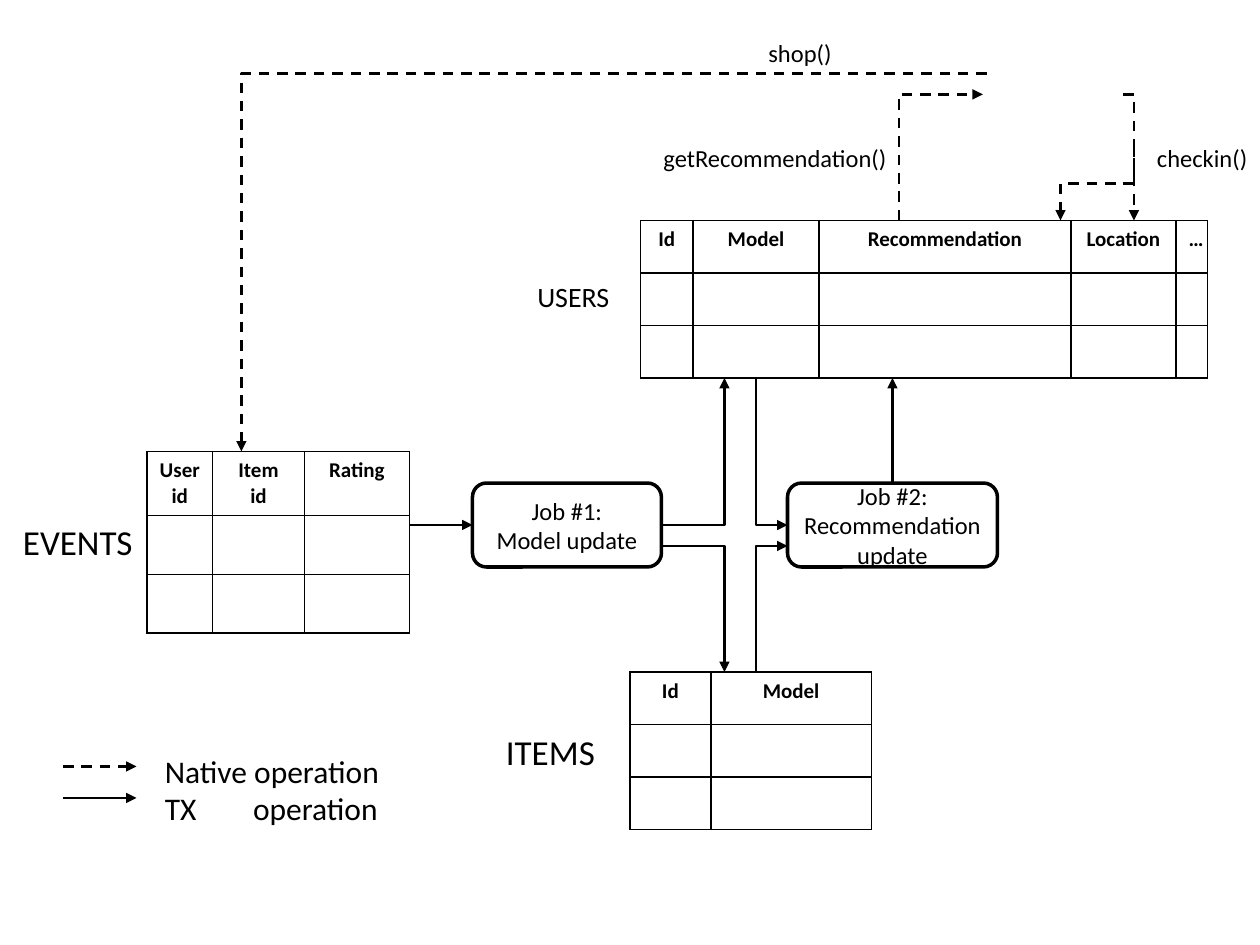
import pptx
import pptx.util
import pptx.dml.color
import pptx.enum.dml
import pptx.enum.shapes
import pptx.enum.text
import pptx.oxml
import pptx.oxml.ns
from lxml import etree

BLACK = pptx.dml.color.RGBColor(0, 0, 0)
WHITE = pptx.dml.color.RGBColor(255, 255, 255)
FONT = "Calibri"
Pt = pptx.util.Pt
qn = pptx.oxml.ns.qn
ALIGN = pptx.enum.text.PP_ALIGN
CONNECTOR = pptx.enum.shapes.MSO_CONNECTOR


def grid(n):
    """Length of n grid units: the slide is 120 columns by 90 rows."""
    return pptx.util.Inches(n / 12)


def set_font(p, size, bold=False, align=ALIGN.LEFT):
    p.alignment = align
    p.font.name, p.font.size, p.font.bold = FONT, Pt(size), bold
    p.font.color.rgb = BLACK


def add_label(s, box, text, size, wrap=False):
    tf = s.shapes.add_textbox(*map(grid, box)).text_frame
    tf.word_wrap = wrap
    tf.text = text
    for p in tf.paragraphs:
        set_font(p, size)
    return tf


def add_data_table(s, x, y, cols, rows, headers):
    """Bordered table with one header row and empty records."""
    box = (x, y, sum(cols), sum(rows))
    table = s.shapes.add_table(len(rows), len(cols), *map(grid, box)).table
    table.first_row = table.horz_banding = False
    for col, width in zip(table.columns, cols):
        col.width = grid(width)
    for row, height in zip(table.rows, rows):
        row.height = grid(height)
    for cell, text in zip(table.rows[0].cells, headers):
        cell.text = text
    for cell in table.iter_cells():
        for p in cell.text_frame.paragraphs:
            set_font(p, 12, True, ALIGN.CENTER)
        tc_pr = cell._tc.get_or_add_tcPr()
        for side in ("lnL", "lnR", "lnT", "lnB"):
            ln = etree.SubElement(tc_pr, qn("a:" + side), w=str(Pt(1)))
            fill = etree.SubElement(ln, qn("a:solidFill"))
            etree.SubElement(fill, qn("a:srgbClr"), val=str(BLACK))
        cell.fill.background()


def add_job(s, box, text):
    kind = pptx.enum.shapes.MSO_SHAPE.FLOWCHART_ALTERNATE_PROCESS
    sp = s.shapes.add_shape(kind, *map(grid, box))
    sp.shadow.inherit = False
    sp.fill.solid()
    sp.fill.fore_color.rgb = WHITE
    sp.line.color.rgb, sp.line.width = BLACK, Pt(2)
    tf = sp.text_frame
    tf.word_wrap = True
    tf.vertical_anchor = pptx.enum.text.MSO_ANCHOR.MIDDLE
    tf.text = text
    for p in tf.paragraphs:
        set_font(p, 14, align=ALIGN.CENTER)
    return sp


def add_arrow(s, start, end, dashed=False, kind=CONNECTOR.STRAIGHT):
    c = s.shapes.add_connector(kind, *map(grid, start + end))
    c.line.color.rgb, c.line.width = BLACK, Pt(1.5)
    if dashed:
        c.line.dash_style = pptx.enum.dml.MSO_LINE.DASH
    etree.SubElement(c.line._get_or_add_ln(), qn("a:tailEnd"), type="triangle")
    etree.SubElement(c._element.spPr, qn("a:effectLst"))
    return c


def add_elbow(s, start, end, dashed=False, vertical_first=False, bends=1):
    c = add_arrow(s, start, end, dashed, CONNECTOR.ELBOW)
    sp_pr = c._element.spPr
    sp_pr.find(qn("a:prstGeom")).set("prst", f"bentConnector{bends + 1}")
    if vertical_first:
        # Turn a quarter: swap width and height about the same centre
        (x1, y1), (x2, y2) = start, end
        w, h = abs(y2 - y1), abs(x2 - x1)
        c.left, c.top = grid((x1 + x2 - w) / 2), grid((y1 + y2 - h) / 2)
        c.width, c.height = grid(w), grid(h)
        xfrm = sp_pr.find(qn("a:xfrm"))
        xfrm.set("rot", str(90 * 60000))
        xfrm.set("flipH", str(int(y2 < y1)))
        xfrm.set("flipV", str(int(x2 > x1)))
    return c


def add_legend(s, x, y):
    add_arrow(s, (x + 1, y + 2), (x + 8, y + 2), dashed=True)
    add_arrow(s, (x + 1, y + 5), (x + 8, y + 5))
    tf = add_label(s, (x, y, 32.8, 8.5), "Native operation\nTX\toperation", 18, True)
    tf.margin_left, tf.margin_right = grid(10.7), 0
    tabs = etree.SubElement(tf.paragraphs[1]._p.get_or_add_pPr(), qn("a:tabLst"))
    etree.SubElement(tabs, qn("a:tab"), pos=str(grid(8.4)), algn="l")
    p_pr = tf.paragraphs[1]._p.pPr
    p_pr.insert(0, tabs)  # tab stops come before the run defaults


def add_tables(s):
    add_data_table(s, 61, 21, (5, 12, 24, 10, 3), (5, 5, 5),
                   ("Id", "Model", "Recommendation", "Location", "…"))
    add_data_table(s, 60, 64, (7.7, 15.3), (5, 5, 5), ("Id", "Model"))
    add_data_table(s, 14, 43, (6.25, 8.75, 10), (6.1, 5.6, 5.6),
                   ("User\nid", "Item\nid", "Rating"))
    add_label(s, (50, 26, 9.4, 4.4), "USERS", 16)
    add_label(s, (47, 69, 11.3, 5.3), "ITEMS", 20)
    add_label(s, (1, 49, 14, 5.3), "EVENTS", 20, True)


def add_jobs(s):
    model_job = add_job(s, (45, 46, 18, 8), "Job #1:\nModel update")
    rec_job = add_job(s, (75, 46, 20, 8), "Job #2:\nRecommendation update")
    add_arrow(s, (39, 50), (45, 50)).end_connect(model_job, 1)
    add_arrow(s, (85, 46), (85, 36)).begin_connect(rec_job, 0)
    add_elbow(s, (63, 50), (69, 36))
    add_elbow(s, (63, 52), (69, 64))
    add_elbow(s, (72, 36), (75, 50), vertical_first=True)
    add_elbow(s, (72, 64), (75, 52), vertical_first=True)


def add_native_calls(s):
    add_elbow(s, (94, 7), (23, 43), dashed=True)
    add_elbow(s, (85.6, 21), (93.6, 9), dashed=True, vertical_first=True)
    add_elbow(s, (107, 9), (108, 21), dashed=True)
    add_elbow(s, (108, 14), (101, 21), dashed=True, vertical_first=True, bends=2)
    add_label(s, (72, 3, 8.5, 4), "shop()", 14)
    add_label(s, (62, 13, 23.9, 4), "getRecommendation()", 14)
    add_label(s, (109, 13, 11.2, 4), "checkin()", 14)


def main():
    prs = pptx.Presentation()
    prs.slide_width, prs.slide_height = grid(120), grid(90)
    s = prs.slides.add_slide(prs.slide_layouts[6])
    add_tables(s)
    add_jobs(s)
    add_native_calls(s)
    add_legend(s, 5, 71)
    prs.save("out.pptx")


if __name__ == "__main__":
    main()
